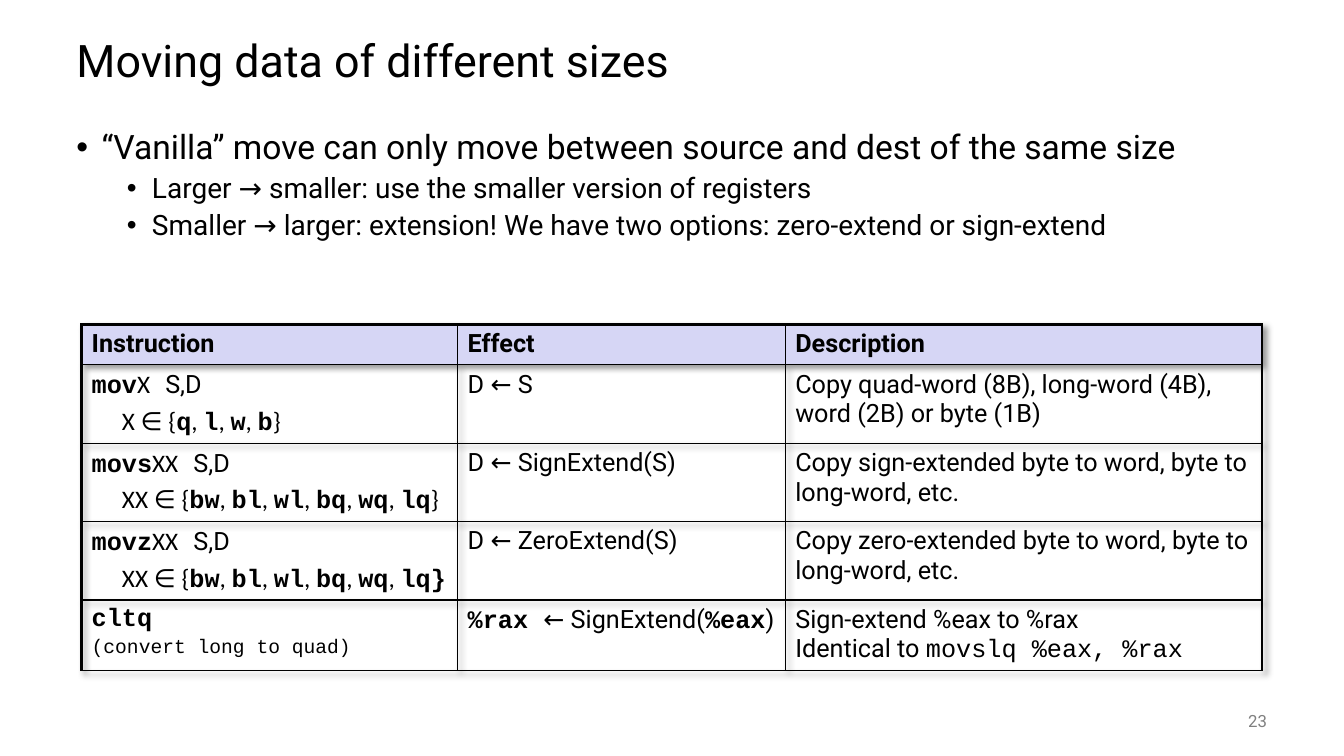
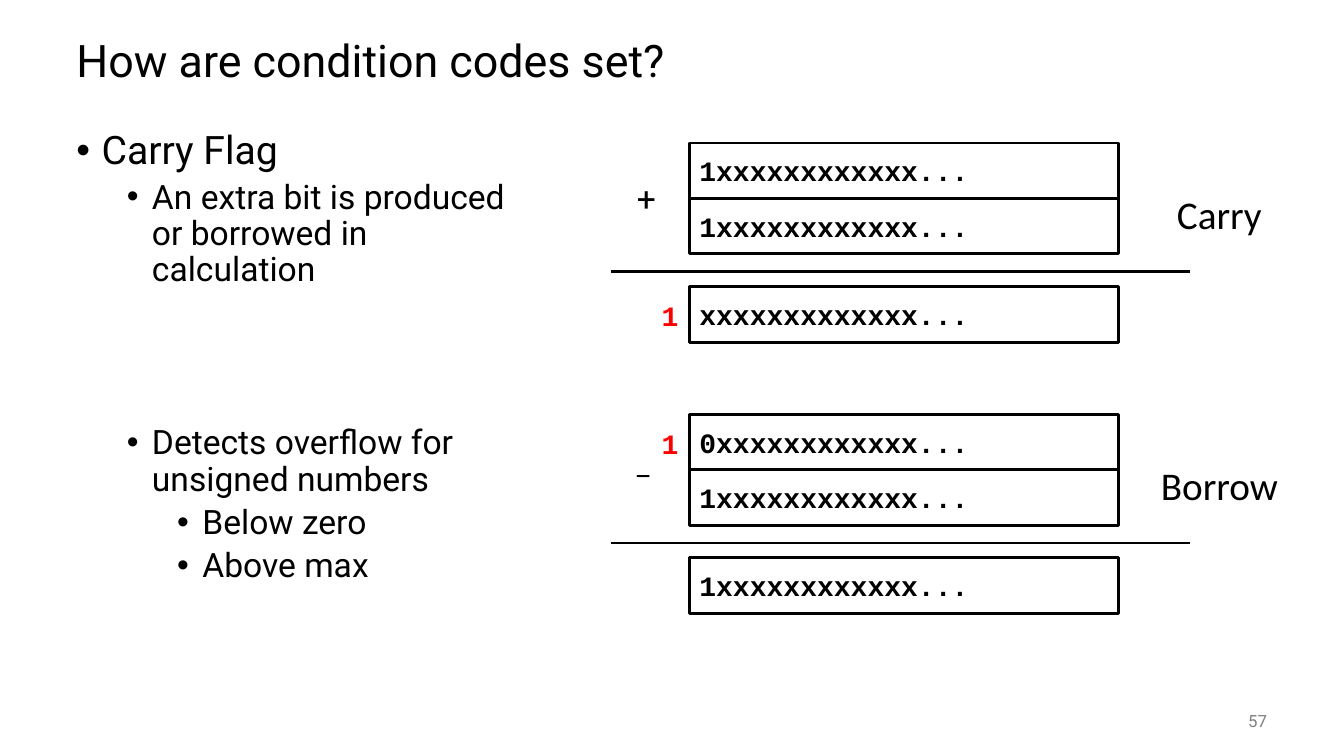
import pptx
import pptx.util
import pptx.oxml
import pptx.dml.color
import pptx.enum.text
import pptx.enum.shapes
from pptx.oxml.ns import qn

Pt = pptx.util.Pt
ANCHOR = pptx.enum.text.MSO_ANCHOR
ALIGN = pptx.enum.text.PP_ALIGN

BLACK = pptx.dml.color.RGBColor(0x00, 0x00, 0x00)
GRAY = pptx.dml.color.RGBColor(0x80, 0x80, 0x80)
RED = pptx.dml.color.RGBColor(0xFF, 0x00, 0x00)
LAVENDER = pptx.dml.color.RGBColor(0xD6, 0xD6, 0xF5)

PLAIN = ("Roboto", False)
STRONG = ("Roboto", True)
CODE = ("Courier New", False)
CODE_STRONG = ("Courier New", True)
SYMBOL = ("Calibri", False)

SIZES_TITLE = "Moving data of different sizes"
SIZES_BULLETS = [
    (0, "“Vanilla” move can only move between source and dest of the same size", 24, 0),
    (1, "Larger → smaller: use the smaller version of registers", 20, 5),
    (1, "Smaller → larger: extension! We have two options: zero-extend or sign-extend", 20, 5),
]

FLAG_TITLE = "How are condition codes set?"
FLAG_BULLETS = [
    (0, "Carry Flag", 28, 0),
    (1, "An extra bit is produced or borrowed in calculation", 24, 5),
    (1, "Detects overflow for unsigned numbers", 24, 97.7),
    (2, "Below zero", 24, 5),
    (2, "Above max", 24, 5),
]


def move_syntax(name, suffix, choices, closing=SYMBOL):
    members = []
    for choice in choices:
        if members:
            members.append((", ", SYMBOL))
        members.append((choice, CODE_STRONG))
    signature = [(name, CODE_STRONG), (suffix, SYMBOL), (" ", CODE), ("S,D", PLAIN)]
    domain = [(suffix + " ", SYMBOL), ("∈", PLAIN), (" {", SYMBOL), *members, ("}", closing)]
    return [(signature, 18, 0), (domain, 18, 21.6)]


def line_of(*runs):
    return [(list(runs), 18, 0)]


EXTENSIONS = ["bw", "bl", "wl", "bq", "wq", "lq"]
INSTRUCTION_ROWS = [
    [line_of((heading, STRONG)) for heading in ("Instruction", "Effect", "Description")],
    [
        move_syntax("mov", "X", ["q", "l", "w", "b"]),
        line_of(("D ← S", PLAIN)),
        line_of(("Copy quad-word (8B), long-word (4B), word (2B) or byte (1B)", PLAIN)),
    ],
    [
        move_syntax("movs", "XX", EXTENSIONS),
        line_of(("D ← SignExtend(S)", PLAIN)),
        line_of(("Copy sign-extended byte to word, byte to long-word, etc.", PLAIN)),
    ],
    [
        move_syntax("movz", "XX", EXTENSIONS, CODE_STRONG),
        line_of(("D ← ZeroExtend(S)", PLAIN)),
        line_of(("Copy zero-extended byte to word, byte to long-word, etc.", PLAIN)),
    ],
    [
        [([("cltq", CODE_STRONG)], 18, 0), ([("(convert long to quad)", CODE)], 14, 0)],
        line_of(("%rax ", CODE_STRONG), ("← SignExtend(", PLAIN), ("%eax", CODE_STRONG), (")", PLAIN)),
        line_of(("Sign-extend %eax to %rax\n", PLAIN), ("Identical to ", PLAIN), ("movslq %eax, %rax", CODE)),
    ],
]
COLUMN_WIDTHS = [268.6, 234, 340.6]
ROW_HEIGHTS = [28.8, 56, 56, 56, 50]

CALCULATIONS = [
    {"top": 102.2, "label": "Carry", "operator": ("+", 24, 21), "extra_row": 2,
     "rows": ["1xxxxxxxxxxxx...", "1xxxxxxxxxxxx...", "xxxxxxxxxxxxx..."]},
    {"top": 295.9, "label": "Borrow", "operator": ("_", 20, 20.2), "extra_row": 0,
     "rows": ["0xxxxxxxxxxxx...", "1xxxxxxxxxxxx...", "1xxxxxxxxxxxx..."]},
]
REGISTER_LEFT, REGISTER_WIDTH, REGISTER_HEIGHT = 492.5, 306.7, 39.6
ROW_OFFSETS = [0, REGISTER_HEIGHT, 102.6]
RULE_OFFSET = 92


def add_run(para, text, style, size, color=BLACK):
    pieces = text.split("\n")
    for number, piece in enumerate(pieces):
        if number:
            para.add_line_break()
        if piece:
            span = para.add_run()
            span.text = piece
            span.font.name, span.font.bold = style
            span.font.size = Pt(size)
            span.font.color.rgb = color


def add_box(page, left, top, width, height, anchor=ANCHOR.TOP):
    box = page.shapes.add_textbox(Pt(left), Pt(top), Pt(width), Pt(height))
    box.text_frame.word_wrap = True
    box.text_frame.vertical_anchor = anchor
    return box.text_frame


def add_label(page, left, top, width, height, text, style, size,
              color=BLACK, align=ALIGN.LEFT, anchor=ANCHOR.TOP):
    para = add_box(page, left, top, width, height, anchor).paragraphs[0]
    para.alignment = align
    add_run(para, text, style, size, color)
    return para


def add_page(deck, title, number):
    page = deck.slides.add_slide(deck.slide_layouts[6])
    para = add_label(page, 47.5, 18, 864, 54, title, PLAIN, 32, anchor=ANCHOR.MIDDLE)
    para.line_spacing = 0.9
    add_label(page, 840.2, 500.4, 72, 28.8, number, PLAIN, 12, GRAY, ALIGN.RIGHT, ANCHOR.MIDDLE)
    return page


def add_bullets(page, bullets, width):
    frame = add_box(page, 47.5, 90, width, 396)
    for index, (level, text, size, space) in enumerate(bullets):
        para = frame.add_paragraph() if index else frame.paragraphs[0]
        para.level = level
        properties = para._p.get_or_add_pPr()
        properties.set("marL", str(Pt(18 + 36 * level)))
        properties.set("indent", str(Pt(-18)))
        properties.append(properties.makeelement(qn("a:buFont"), {"typeface": "Arial"}))
        properties.append(properties.makeelement(qn("a:buChar"), {"char": "•"}))
        para.line_spacing = 0.9
        para.space_before = Pt(space)
        add_run(para, text, PLAIN, size)


def set_borders(cell, widths):
    properties = cell._tc.get_or_add_tcPr()
    for position, (side, width) in enumerate(zip("LRTB", widths)):
        properties.insert(position, pptx.oxml.parse_xml(
            '<a:ln%s xmlns:a="http://schemas.openxmlformats.org/drawingml/2006/main" w="%d">'
            '<a:solidFill><a:srgbClr val="%s"/></a:solidFill></a:ln%s>'
            % (side, Pt(width), BLACK, side)))


def add_instruction_table(page):
    frame = page.shapes.add_table(
        len(INSTRUCTION_ROWS), len(COLUMN_WIDTHS), Pt(58.3), Pt(231.8),
        Pt(sum(COLUMN_WIDTHS)), Pt(sum(ROW_HEIGHTS)))
    table = frame.table
    table.first_row = table.horz_banding = False
    table._tbl.tblPr.insert(0, pptx.oxml.parse_xml(
        '<a:effectLst xmlns:a="http://schemas.openxmlformats.org/drawingml/2006/main">'
        '<a:outerShdw blurRad="50800" dist="38100" dir="2700000" algn="tl" rotWithShape="0">'
        '<a:srgbClr val="000000"><a:alpha val="40000"/></a:srgbClr></a:outerShdw></a:effectLst>'))
    for column, width in zip(table.columns, COLUMN_WIDTHS):
        column.width = Pt(width)
    last = len(COLUMN_WIDTHS) - 1
    for row, (height, contents) in enumerate(zip(ROW_HEIGHTS, INSTRUCTION_ROWS)):
        table.rows[row].height = Pt(height)
        for column, paragraphs in enumerate(contents):
            cell = table.cell(row, column)
            if row == 0:
                cell.fill.solid()
                cell.fill.fore_color.rgb = LAVENDER
            else:
                cell.fill.background()
            set_borders(cell, [2.25 if column == 0 else 1, 2.25 if column == last else 1,
                               2.25 if row == 0 else 1, 1])
            for index, (runs, size, indent) in enumerate(paragraphs):
                para = cell.text_frame.add_paragraph() if index else cell.text_frame.paragraphs[0]
                if index:
                    para.space_before = Pt(size * 0.2)
                para._p.get_or_add_pPr().set("marL", str(Pt(indent)))
                for text, style in runs:
                    add_run(para, text, style, size)


def add_register(page, top, bits):
    box = page.shapes.add_shape(
        pptx.enum.shapes.MSO_SHAPE.RECTANGLE, Pt(REGISTER_LEFT), Pt(top),
        Pt(REGISTER_WIDTH), Pt(REGISTER_HEIGHT))
    box.shadow.inherit = False
    box.fill.background()
    box.line.color.rgb = BLACK
    box.line.width = Pt(2)
    box.text_frame.vertical_anchor = ANCHOR.MIDDLE
    para = box.text_frame.paragraphs[0]
    para.alignment = ALIGN.LEFT
    add_run(para, bits, CODE_STRONG, 20)


def add_rule(page, top):
    rule = page.shapes.add_connector(
        pptx.enum.shapes.MSO_CONNECTOR.STRAIGHT, Pt(436.3), Pt(top), Pt(850.3), Pt(top))
    rule.line.color.rgb = BLACK
    rule.line.width = Pt(2)
    properties = rule._element.spPr
    properties.append(properties.makeelement(qn("a:effectLst"), {}))


def add_calculation(page, calculation):
    top = calculation["top"]
    for offset, bits in zip(ROW_OFFSETS, calculation["rows"]):
        add_register(page, top + offset, bits)
    add_rule(page, top + RULE_OFFSET)
    symbol, size, offset = calculation["operator"]
    add_label(page, 447.8, top + offset, 36, 36, symbol, PLAIN, size)
    extra_top = top + ROW_OFFSETS[calculation["extra_row"]] + 5
    add_label(page, 465.5, extra_top, 36, 31.5, "1", CODE_STRONG, 20, RED)
    add_label(page, 811, top + 30, 120, 41, calculation["label"], SYMBOL, 28, align=ALIGN.CENTER)


def main():
    deck = pptx.Presentation()
    deck.slide_width, deck.slide_height = Pt(960), Pt(540)

    sizes_page = add_page(deck, SIZES_TITLE, "23")
    add_bullets(sizes_page, SIZES_BULLETS, 864)
    add_instruction_table(sizes_page)

    flag_page = add_page(deck, FLAG_TITLE, "57")
    add_bullets(flag_page, FLAG_BULLETS, 340.6)
    for calculation in CALCULATIONS:
        add_calculation(flag_page, calculation)

    deck.save("out.pptx")


if __name__ == "__main__":
    main()
